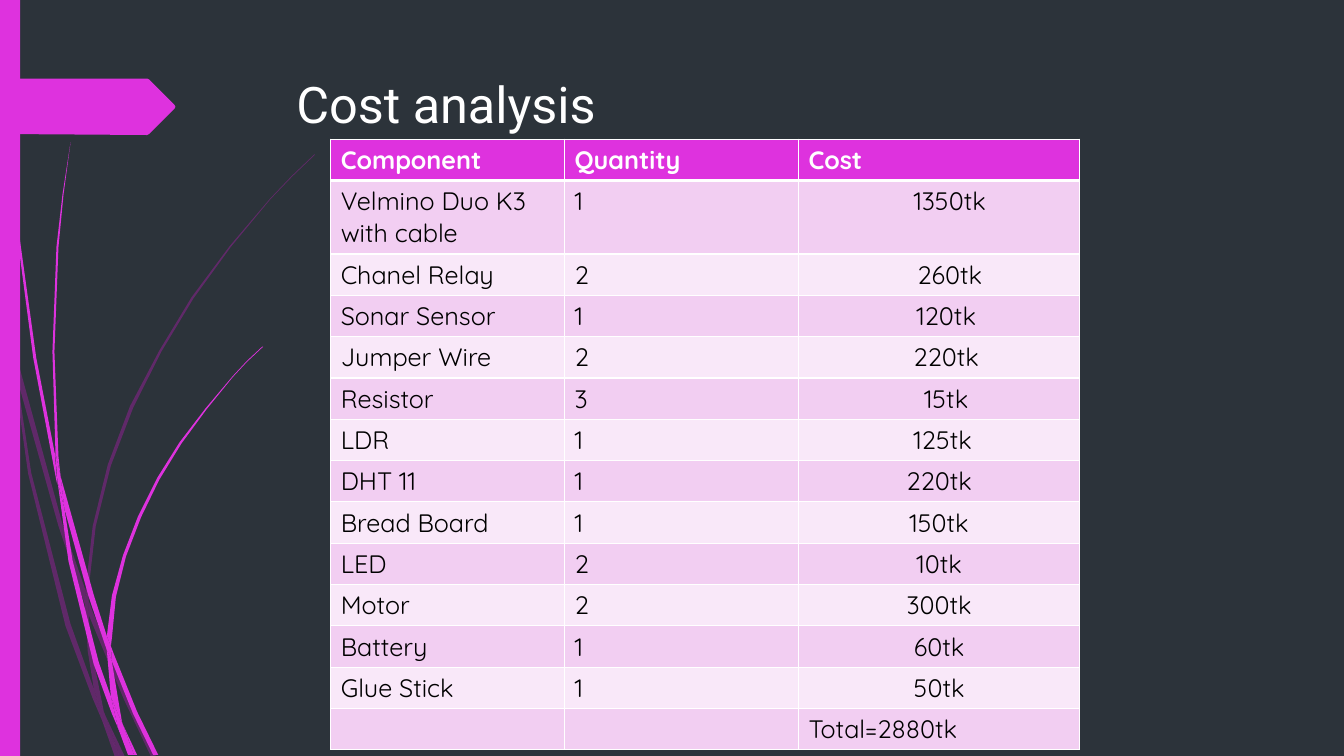
from lxml import etree
from pptx import Presentation
from pptx.dml.color import RGBColor
from pptx.enum.shapes import MSO_SHAPE
from pptx.enum.text import PP_ALIGN
from pptx.oxml.ns import qn
from pptx.util import Inches, Pt

RECT = MSO_SHAPE.RECTANGLE
CENTER = PP_ALIGN.CENTER
PINK = "DE32DE"
PURPLE = "B01CB0"
WHITE = "FFFFFF"


def rgb(color):
    return RGBColor.from_string(color)


def add_outline(shapes, points, color, alpha=None):
    pts = [(Inches(x), Inches(y)) for x, y in points]
    builder = shapes.build_freeform(*pts[0])
    builder.add_line_segments(pts[1:], close=True)
    s = builder.convert_to_shape()
    s.shadow.inherit = False
    s.line.fill.background()
    s.fill.solid()
    s.fill.fore_color.rgb = rgb(color)
    if alpha:
        clr = s._element.spPr.find(".//" + qn("a:srgbClr"))
        etree.SubElement(clr, qn("a:alpha"), val=str(alpha * 1000))


prs = Presentation()
prs.slide_width = Inches(13.33)
prs.slide_height = Inches(7.5)
slide = prs.slides.add_slide(prs.slide_layouts[6])
slide.background.fill.solid()
slide.background.fill.fore_color.rgb = rgb("2C333A")

back_strands = [
    [(0.11, 3.5), (0.09, 3.22), (0, 2.82), (0, 2.99), (0.1, 3.44)],
    [(0.58, 5.22), (0.84, 5.99), (0.85, 5.86), (0.62, 5.2), (0.14, 3.45), (0.17, 3.76)],
    [(0.92, 6.07), (0.88, 5.96), (0.88, 6.1), (1.23, 6.94), (1.5, 7.51), (1.55, 7.51),
     (1.27, 6.92)],
    [(1.19, 7.51), (1.24, 7.51), (1.05, 7.11)],
    [(0.93, 6.83), (0.7, 6.19), (0.31, 4.69), (0.17, 3.76), (0.11, 3.5), (0.28, 4.7),
     (0.65, 6.21), (0.92, 6.93), (1.01, 7.14), (0.99, 7.07)],
    [(0.84, 5.99), (0.87, 6.46), (0.93, 6.83), (0.96, 6.92), (1.05, 7.11), (1.03, 7.06),
     (0.91, 6.46), (0.88, 6.1), (0.88, 6.08)],
    [(0.88, 5.84), (0.95, 5.22), (1.1, 4.62), (1.32, 4.05), (1.6, 3.49), (1.92, 2.96),
     (2.29, 2.45), (2.68, 1.98), (2.9, 1.75), (3.12, 1.54), (3.12, 1.53), (2.89, 1.75),
     (2.68, 1.97), (2.28, 2.44), (1.9, 2.95), (1.58, 3.48), (1.29, 4.03), (1.07, 4.61),
     (0.92, 5.22), (0.85, 5.84), (0.85, 5.86), (0.88, 5.96)],
    [(1.01, 7.14), (1.14, 7.51), (1.19, 7.51)],
    [(0.88, 6.08), (0.88, 6.1), (0.88, 5.96), (0.85, 5.86), (0.84, 5.99)],
    [(0.96, 6.92), (0.93, 6.83), (0.99, 7.07), (1.01, 7.14), (1.19, 7.51), (1.05, 7.11)],
]
front_strands = [
    [(0.07, 1.1), (0.17, 2.33), (0.33, 3.55), (0.56, 4.77), (0.57, 4.81), (0.55, 4.57),
     (0.55, 4.53), (0.36, 3.55), (0.19, 2.32), (0.08, 1.09), (0.05, 0.48), (0.04, 0),
     (0.03, 0), (0.04, 0.48)],
    [(0.88, 5.92), (1.06, 6.45), (1.06, 6.33), (1.06, 6.31), (0.93, 5.9), (0.6, 4.72),
     (0.64, 5.05)],
    [(1.13, 6.49), (1.1, 6.41), (1.11, 6.56), (1.32, 7.08), (1.52, 7.49), (1.57, 7.49),
     (1.36, 7.06)],
    [(1.1, 6.91), (0.98, 6.57), (0.72, 5.56), (0.64, 5.05), (0.57, 4.77), (0.68, 5.57),
     (0.93, 6.59), (1.11, 7.08), (1.17, 7.22), (1.16, 7.17)],
    [(0.6, 4.72), (0.58, 4.53), (0.54, 3.49), (0.58, 2.45), (0.63, 1.93), (0.7, 1.41),
     (0.62, 1.93), (0.56, 2.45), (0.52, 3.49), (0.55, 4.49)],
    [(1.33, 7.49), (1.36, 7.49), (1.22, 7.19)],
    [(0.57, 4.77), (0.64, 5.05), (0.6, 4.72), (0.55, 4.49), (0.55, 4.53)],
    [(1.11, 6.33), (1.15, 5.92), (1.25, 5.52), (1.4, 5.13), (1.58, 4.76), (1.8, 4.4),
     (2.05, 4.06), (2.31, 3.74), (2.45, 3.59), (2.61, 3.44), (2.6, 3.44), (2.45, 3.58),
     (2.31, 3.73), (2.04, 4.05), (1.78, 4.39), (1.56, 4.74), (1.37, 5.12), (1.22, 5.51),
     (1.11, 5.91), (1.06, 6.31), (1.1, 6.41)],
    [(1.17, 7.22), (1.27, 7.49), (1.31, 7.49)],
    [(1.06, 6.45), (1.1, 6.91), (1.16, 7.06), (1.22, 7.19), (1.21, 7.16), (1.11, 6.56),
     (1.09, 6.51)],
    [(1.06, 6.45), (1.09, 6.51), (1.11, 6.56), (1.1, 6.41), (1.06, 6.31), (1.06, 6.33)],
    [(1.16, 7.06), (1.1, 6.91), (1.16, 7.17), (1.17, 7.22), (1.3, 7.49), (1.33, 7.49),
     (1.22, 7.19)],
]
for strands, color, alpha in [(back_strands, PURPLE, 40), (front_strands, PINK, None)]:
    group = slide.shapes.add_group_shape()
    for points in strands:
        add_outline(group.shapes, points, color, alpha)

side_bar = slide.shapes.add_shape(RECT, 0, 0, Inches(0.2), Inches(7.5))
side_bar.shadow.inherit = False
side_bar.fill.solid()
side_bar.fill.fore_color.rgb = rgb(PINK)
side_bar.line.fill.background()

arrow_tag = [(0, 0.78), (1.46, 0.78), (1.48, 0.79), (1.73, 1.04), (1.74, 1.06),
             (1.73, 1.08), (1.48, 1.33), (1.46, 1.34), (0, 1.33)]
add_outline(slide.shapes, arrow_tag, PINK)

title = slide.shapes.add_textbox(Inches(2.84), Inches(0.68), Inches(9.75), Inches(1.4))
tf = title.text_frame
tf.word_wrap = True
tf.text = "Cost analysis"
r = tf.paragraphs[0].runs[0]
r.font.name = "Roboto"
r.font.size = Pt(36)
r.font.color.rgb = rgb(WHITE)

rows = [
    ("Component", "Quantity", "Cost", 0),
    ("Velmino Duo K3 with cable", "1", "1350tk", 0.21),
    ("Chanel Relay", "2", "260tk", 0.21),
    ("Sonar Sensor", "1", "120tk", 0.14),
    ("Jumper Wire", "2", "220tk", 0.14),
    ("Resistor", "3", "15tk", 0.14),
    ("LDR", "1", "125tk", 0.07),
    ("DHT 11", "1", "220tk", 0),
    ("Bread Board", "1", "150tk", 0),
    ("LED", "2", "10tk", 0),
    ("Motor", "2", "300tk", 0),
    ("Battery", "1", "60tk", 0),
    ("Glue Stick", "1", "50tk", 0),
    ("", "", "Total=2880tk", 0),
]
last = len(rows) - 1
table = slide.shapes.add_table(
    len(rows), 3, Inches(3.28), Inches(1.38), Inches(7.43), Inches(6.06)).table
for column, width in zip(table.columns, [2.32, 2.32, 2.79]):
    column.width = Inches(width)

for i, (*texts, indent) in enumerate(rows):
    table.rows[i].height = Inches(0.73 if i == 1 else 0.41)
    for j, text in enumerate(texts):
        cell = table.cell(i, j)
        tcPr = cell._tc.get_or_add_tcPr()
        for side in "LRTB":
            thick = (i, side) in [(0, "B"), (1, "T")]
            ln = etree.SubElement(tcPr, qn("a:ln" + side), w=str(Pt(3 if thick else 1)))
            line_fill = etree.SubElement(ln, qn("a:solidFill"))
            etree.SubElement(line_fill, qn("a:srgbClr"), val=WHITE)
        cell.fill.solid()
        cell.fill.fore_color.rgb = rgb(PINK if i == 0 else "F2CEF2" if i % 2 else "F9E8F9")
        cell.text_frame.text = text
        p = cell.text_frame.paragraphs[0]
        if j == 2 and 0 < i < last:
            p.alignment = CENTER
            cell.margin_left = Inches(0.1 + indent)
        for r in p.runs:
            r.font.name = "Quicksand"
            r.font.size = Pt(18)
            r.font.bold = i == 0
            r.font.color.rgb = rgb(WHITE if i == 0 else "000000")

prs.save("out.pptx")
